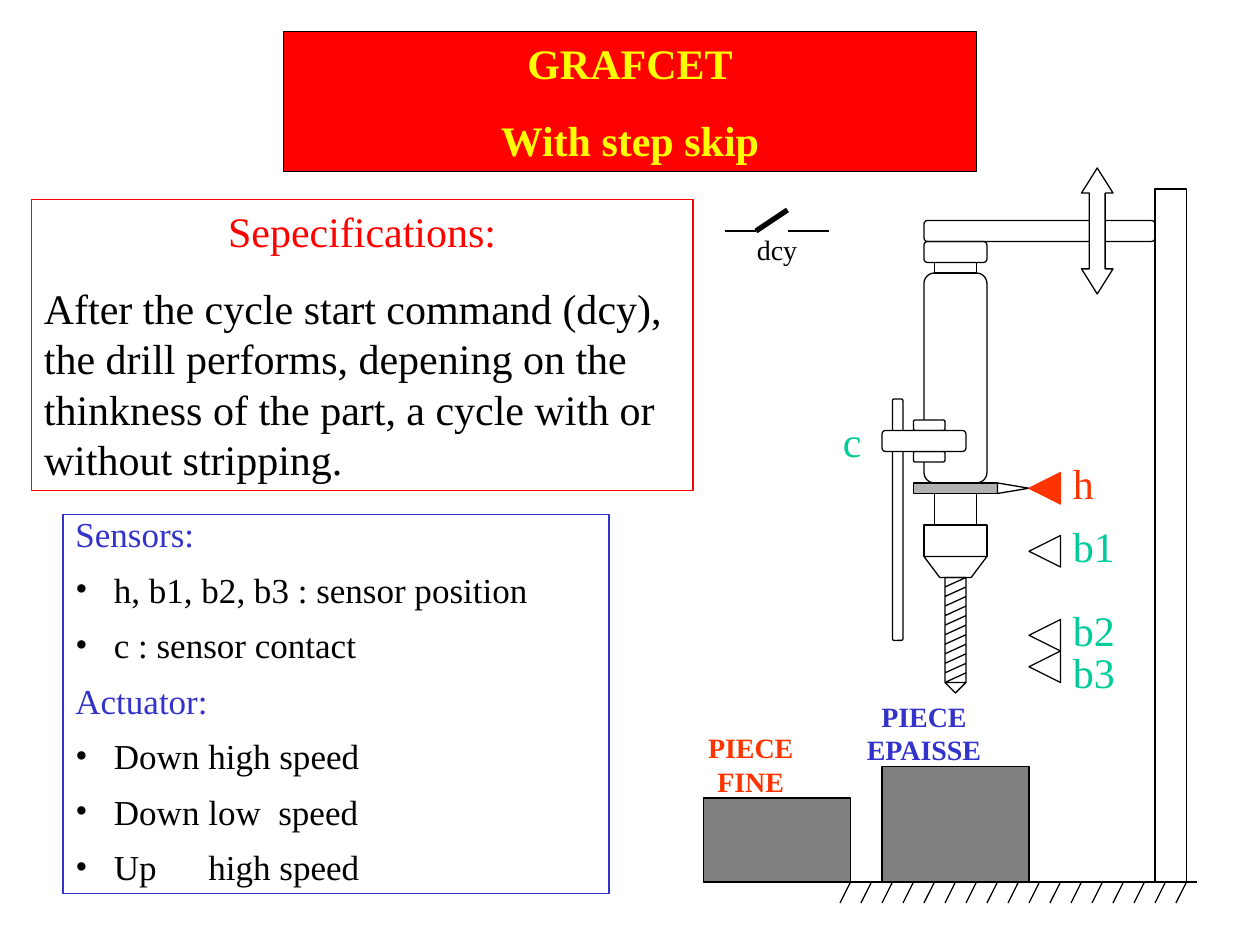
from lxml import etree
from pptx import Presentation
from pptx import util as u
from pptx.dml import color
from pptx.enum import shapes, text
from pptx.oxml import ns

Pt = u.Pt
FACE = "Times New Roman"
HUE = {"black": "000000", "white": "FFFFFF", "red": "FF0000", "yellow": "FFFF00",
       "blue": "3333CC", "green": "00CC99", "orange": "FF3300",
       "steel": "B2B2B2", "gray": "808080"}
KIND = shapes.MSO_SHAPE
LEFT, MID = text.PP_ALIGN.LEFT, text.PP_ALIGN.CENTER

deck = Presentation()
deck.slide_width, deck.slide_height = Pt(720), Pt(540)
page = deck.slides.add_slide(deck.slide_layouts[6])
items = page.shapes


def paint(part, fill=None, line="black", turn=0):
    """Give a shape its fill, outline and rotation."""
    part.shadow.inherit = False
    if fill:
        part.fill.solid()
        part.fill.fore_color.rgb = color.RGBColor.from_string(HUE[fill])
    else:
        part.fill.background()
    part.line.color.rgb = color.RGBColor.from_string(HUE[line])
    part.line.width = Pt(0.75)
    part.rotation = turn


def write(frame, rows, size, align=LEFT, gap=0, bold=False, wrap=True):
    """Fill a frame with (words, colour) rows."""
    frame.word_wrap = wrap
    if not wrap:
        frame.auto_size = text.MSO_AUTO_SIZE.SHAPE_TO_FIT_TEXT
    frame.vertical_anchor = text.MSO_ANCHOR.TOP
    for n, (words, hue) in enumerate(rows):
        para = frame.paragraphs[0] if n == 0 else frame.add_paragraph()
        para.text = words
        para.alignment = align
        if n:
            para.space_before = Pt(gap)
        for run in para.runs:
            run.font.name = FACE
            run.font.size = Pt(size)
            run.font.bold = bold
            run.font.color.rgb = color.RGBColor.from_string(HUE[hue])


# Framed texts: specifications, sensor list, title
spec = items.add_shape(KIND.RECTANGLE, Pt(18), Pt(114), Pt(378), Pt(166.3))
paint(spec, line="red")
write(spec.text_frame, [
    ("Sepecifications:", "red"),
    ("After the cycle start command\u00a0(dcy), the drill performs, depening on "
     "the thinkness of the part, a cycle with or without stripping.", "black"),
], 24, gap=15)
spec.text_frame.paragraphs[0].alignment = MID

parts = items.add_shape(KIND.RECTANGLE, Pt(36), Pt(294), Pt(312), Pt(216.7))
paint(parts, line="blue")
write(parts.text_frame, [
    ("Sensors:", "blue"),
    ("h, b1, b2, b3 : sensor position", "black"),
    ("c : sensor contact", "black"),
    ("Actuator:", "blue"),
    ("Down high speed", "black"),
    ("Down low  speed", "black"),
    ("Up\thigh speed", "black"),
], 20, gap=12.5)
for para in parts.text_frame.paragraphs:
    para.line_spacing = 0.8
    if para.text.endswith(":"):
        continue
    props = para._p.get_or_add_pPr()
    props.set("marL", str(Pt(22)))
    props.set("indent", str(Pt(-22)))
    etree.SubElement(props, ns.qn("a:buFont")).set("typeface", FACE)
    etree.SubElement(props, ns.qn("a:buChar")).set("char", "•")
    if "\t" in para.text:
        tabs = etree.SubElement(props, ns.qn("a:tabLst"))
        stop = etree.SubElement(tabs, ns.qn("a:tab"))
        stop.set("pos", str(Pt(76)))
        stop.set("algn", "l")

title = items.add_shape(KIND.RECTANGLE, Pt(162), Pt(18), Pt(396), Pt(80))
paint(title, "red")
write(title.text_frame, [("GRAFCET", "yellow"), ("With step skip", "yellow")],
      24, MID, 15, True)

# Drill, column and workpieces: kind, left, top, width, height, fill, corner, turn
RECT, ROUND, TRI = KIND.RECTANGLE, KIND.ROUNDED_RECTANGLE, KIND.ISOSCELES_TRIANGLE
for kind, x, y, w, h, fill, bend, turn in [
    (RECT, 528, 300, 36, 18, None, None, 0),      # chuck
    (RECT, 534, 282, 24, 18, None, None, 0),      # spindle
    (RECT, 522, 276, 48, 6, "steel", None, 0),    # plate
    (ROUND, 528, 156, 36, 120, None, 0.167, 0),   # motor
    (RECT, 534, 150, 24, 6, None, None, 0),       # neck
    (ROUND, 528, 138, 36, 12, None, 0.167, 0),    # cap
    (ROUND, 522, 240, 18, 6, "white", 0.167, 0),  # upper clamp
    (ROUND, 522, 258, 18, 6, "white", 0.167, 0),  # lower clamp
    (ROUND, 510, 228, 6, 138, "white", 0.167, 0),  # rod
    (ROUND, 504, 246, 48, 12, "white", 0.167, 0),  # contact
    (TRI, 576, 270, 6, 18, None, None, 90),       # pointer
    (ROUND, 528, 126, 132, 12, None, 0.167, 0),   # arm
    (RECT, 660, 108, 18, 396, None, None, 0),     # column
    (RECT, 504, 438, 84, 66, "gray", None, 0),    # thick piece
    (RECT, 402, 456, 84, 48, "gray", None, 0),    # thin piece
]:
    part = items.add_shape(kind, Pt(x), Pt(y), Pt(w), Pt(h))
    paint(part, fill, turn=turn)
    if bend:
        part.adjustments[0] = bend

# Tapered chuck end and twisted bit
taper = [(528, 318), (537, 330), (555, 330), (564, 318)]
step = 60 / 11
bit = [(540, 330), (552, 330)]
for n in range(1, 10, 2):
    bit += [(x, 330 + step * k) for x in (540, 552) for k in (n, n + 1)]
bit += [(540, 390), (546, 396), (552, 390), (552, 330), (552, 390), (540, 390)]
for dots in (taper, bit):
    pen = items.build_freeform(Pt(dots[0][0]), Pt(dots[0][1]))
    pen.add_line_segments([(Pt(x), Pt(y)) for x, y in dots[1:]], close=True)
    paint(pen.convert_to_shape())

# Travel arrow: head length, then shaft width
move = items.add_shape(KIND.UP_DOWN_ARROW, Pt(618), Pt(96), Pt(18), Pt(72))
for adj in move._element.spPr.iter(ns.qn("a:avLst")):
    for name, value in (("adj1", 50000), ("adj2", 79600)):
        guide = etree.SubElement(adj, ns.qn("a:gd"))
        guide.set("name", name)
        guide.set("fmla", f"val {value}")
paint(move, "white")

# Position sensors
for y, fill, line in [(270, "orange", "orange"), (306, None, "black"),
                      (354, None, "black"), (372, None, "black")]:
    paint(items.add_shape(TRI, Pt(588), Pt(y), Pt(18), Pt(18)), fill, line, 270)

# Start switch, ground line and hatching
lines = [(432, 132, 450, 120, 3), (414, 132, 432, 132, 0.75),
         (450, 132, 474, 132, 0.75), (486, 504, 684, 504, 0.75)]
lines += [(x, 504, x - 6, 516, 0.75) for x in range(486, 679, 12)]
for x, y, end, foot, width in lines:
    wire = items.add_connector(shapes.MSO_CONNECTOR.STRAIGHT,
                               Pt(x), Pt(y), Pt(end), Pt(foot))
    wire.line.color.rgb = color.RGBColor.from_string(HUE["black"])
    wire.line.width = Pt(width)
    etree.SubElement(wire._element.spPr, ns.qn("a:effectLst"))

# Sensor and piece labels
for words, hue, x, y, w, h, size, align, bold, wrap in [
    ("h", "orange", 606, 258, 27, 36, 24, LEFT, False, False),
    ("b1", "green", 606, 294, 40, 36, 24, LEFT, False, False),
    ("b2", "green", 606, 342, 40, 36, 24, LEFT, False, False),
    ("b3", "green", 606, 366, 40, 36, 24, LEFT, False, False),
    ("c", "green", 474, 234, 26, 36, 24, MID, False, False),
    ("PIECE EPAISSE", "blue", 463, 396, 130, 46, 16, MID, True, True),
    ("PIECE FINE", "orange", 378, 414, 102, 46, 16, MID, True, True),
    ("dcy", "black", 420, 132, 48, 21, 16, MID, False, True),
]:
    label = items.add_textbox(Pt(x), Pt(y), Pt(w), Pt(h)).text_frame
    write(label, [(words, hue)], size, align, bold=bold, wrap=wrap)
# The switch label sits tight under its wire
label.margin_left = label.margin_right = Pt(1.5)
label.margin_top = label.margin_bottom = Pt(0.75)

deck.save("out.pptx")
